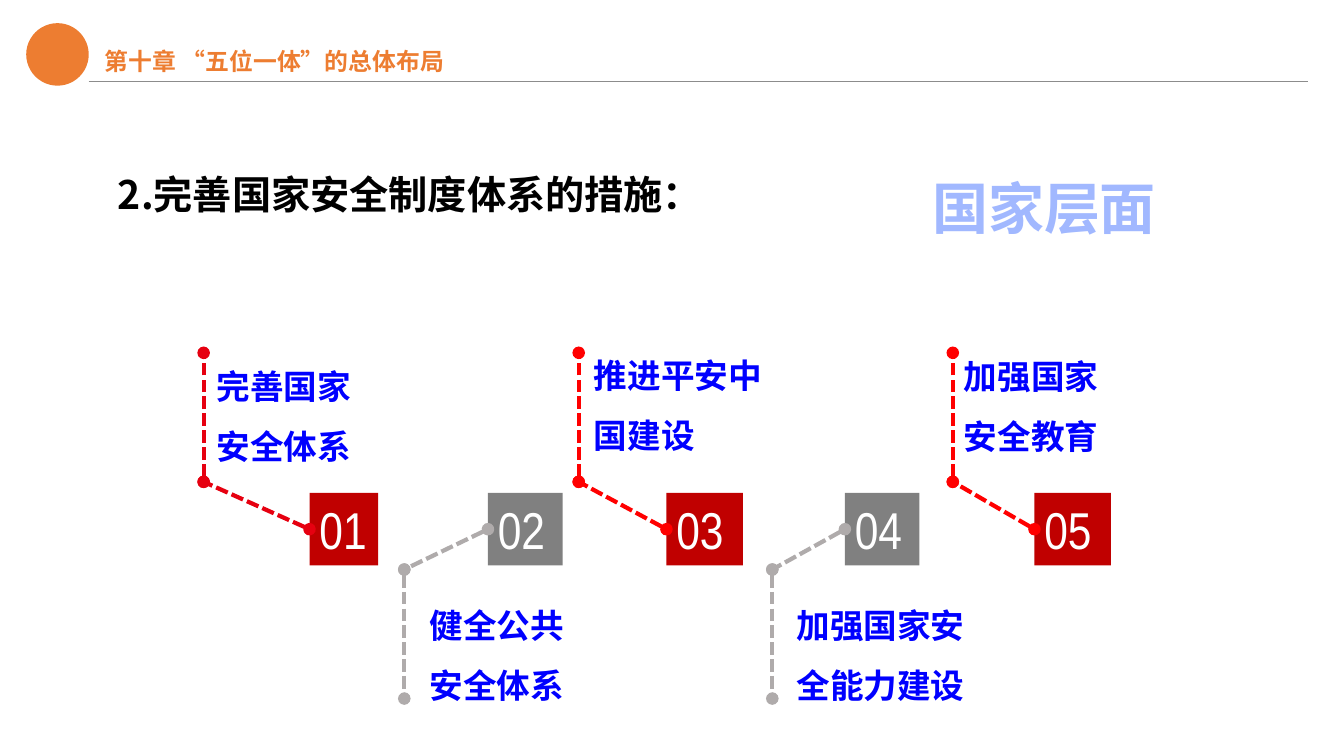
"""Build the slide on five measures that improve the national security system."""
import pptx
import pptx.dml.color
import pptx.enum.dml
import pptx.enum.shapes
import pptx.enum.text
import pptx.oxml.ns
import pptx.util
from lxml import etree

presentation = pptx.Presentation()
presentation.slide_width = pptx.util.Inches(13.33)
presentation.slide_height = pptx.util.Inches(7.5)
slide = presentation.slides.add_slide(presentation.slide_layouts[5])
shapes = slide.shapes

CELL = presentation.slide_height / 22.5
CJK = "Noto Sans CJK SC"
ORANGE = "ED7D31"
RED, GREY = "C00000", "808080"
SQUARE_TOP, SQUARE_HEIGHT = 14.67, 2.16
SQUARE_MIDDLE = SQUARE_TOP + SQUARE_HEIGHT / 2
SPINE_LENGTH, LABEL_HEIGHT = 3.84, 3.81


def grid(*cells):
    return [round(cell * CELL) for cell in cells]


def color(hex_string):
    return pptx.dml.color.RGBColor.from_string(hex_string)


title = shapes.title
title.left, title.top, title.width, title.height = grid(3.21, 4.35, 18.36, 1.98)
chapter = shapes.add_textbox(*grid(2.82, 1.17, 18.15, 1.26))
level = shapes.add_textbox(*grid(26.19, 5.01, 9.75, 2.31))
texts = [
    (title, "2.完善国家安全制度体系的措施：", CJK, 28, "000000", True, 1.4, 0.3, 0.15),
    (chapter, "第十章 “五位一体”的总体布局", CJK, 17, ORANGE, True, 1.1, 0.3, 0.15),
    (level, "国家层面", "Arial", 40, "A1B8FF", True, 1, 0.3, 0.15),
]

emblem = shapes.add_shape(pptx.enum.shapes.MSO_SHAPE.OVAL, *grid(0.78, 0.69, 1.86, 1.86))
emblem.shadow.inherit = False
emblem.fill.solid()
emblem.fill.fore_color.rgb = color(ORANGE)
emblem.line.fill.background()

lines = [((2.64, 2.43), (38.91, 2.43), "8C8C8C", 0.5, False)]

steps = [
    ("完善国家安全体系", 9.21, 2.04, 6.06, (6.06, 10.08, 5.31), "E60010"),
    ("健全公共安全体系", 14.52, 2.22, 12.03, (12.39, 17.19, 5.25), "AFABAB"),
    ("推进平安中国建设", 19.83, 2.28, 17.22, (17.28, 9.75, 5.79), "FF0000"),
    ("加强国家安全能力建设", 25.14, 2.22, 22.98, (23.31, 17.19, 5.91), "AFABAB"),
    ("加强国家安全教育", 30.78, 2.28, 28.35, (28.29, 9.78, 5.64), "FF0000"),
]
for number, (measure, left, width, spine, label_place, line_color) in enumerate(steps, 1):
    above = number % 2 == 1
    square = shapes.add_shape(pptx.enum.shapes.MSO_SHAPE.RECTANGLE,
                              *grid(left, SQUARE_TOP, width, SQUARE_HEIGHT))
    square.shadow.inherit = False
    square.fill.solid()
    square.fill.fore_color.rgb = color(RED if above else GREY)
    square.line.fill.background()
    texts.append((square, f"{number:02}", "Arial Narrow", 37, "FFFFFF", False, 1, 0.3, 0.15))

    label = shapes.add_textbox(*grid(*label_place, LABEL_HEIGHT))
    texts.append((label, measure, CJK, 24, "0000FF", True, 1.5, 0.39, 0.21))

    elbow = 14.34 if above else 16.95
    end = elbow - SPINE_LENGTH if above else elbow + SPINE_LENGTH
    lines.append(((spine, elbow), (spine, end), line_color, 3, True))
    lines.append(((left, SQUARE_MIDDLE), (spine, elbow), line_color, 3, True))

for shape, wording, font_name, size, font_color, bold, spacing, side, edge in texts:
    frame = shape.text_frame
    frame.text = wording
    frame.word_wrap = True
    frame.auto_size = pptx.enum.text.MSO_AUTO_SIZE.NONE
    frame.vertical_anchor = pptx.enum.text.MSO_ANCHOR.TOP
    frame.margin_left, frame.margin_right = grid(side, side)
    frame.margin_top, frame.margin_bottom = grid(edge, edge)
    paragraph = frame.paragraphs[0]
    paragraph.alignment = pptx.enum.text.PP_ALIGN.LEFT
    paragraph.line_spacing = spacing
    if shape is level:
        paragraph.alignment = pptx.enum.text.PP_ALIGN.CENTER
    if font_name == "Arial Narrow":
        frame.margin_right = 0
        frame.vertical_anchor = pptx.enum.text.MSO_ANCHOR.MIDDLE
    font = paragraph.runs[0].font
    font.name, font.size, font.bold = font_name, pptx.util.Pt(size), bold
    font.color.rgb = color(font_color)
    properties = paragraph.runs[0]._r.get_or_add_rPr()
    east_asian = etree.SubElement(properties, pptx.oxml.ns.qn("a:ea"))
    east_asian.set("typeface", CJK)

for start, end, line_color, weight, dotted in lines:
    connector = shapes.add_connector(pptx.enum.shapes.MSO_CONNECTOR.STRAIGHT,
                                     *grid(*start, *end))
    connector.line.color.rgb = color(line_color)
    connector.line.width = pptx.util.Pt(weight)
    if dotted:
        connector.line.dash_style = pptx.enum.dml.MSO_LINE.SQUARE_DOT
        for tag in ("a:headEnd", "a:tailEnd"):
            line_end = etree.SubElement(connector.line._get_or_add_ln(), pptx.oxml.ns.qn(tag))
            line_end.set("type", "oval")
    etree.SubElement(connector._element.spPr, pptx.oxml.ns.qn("a:effectLst"))

presentation.save("out.pptx")
